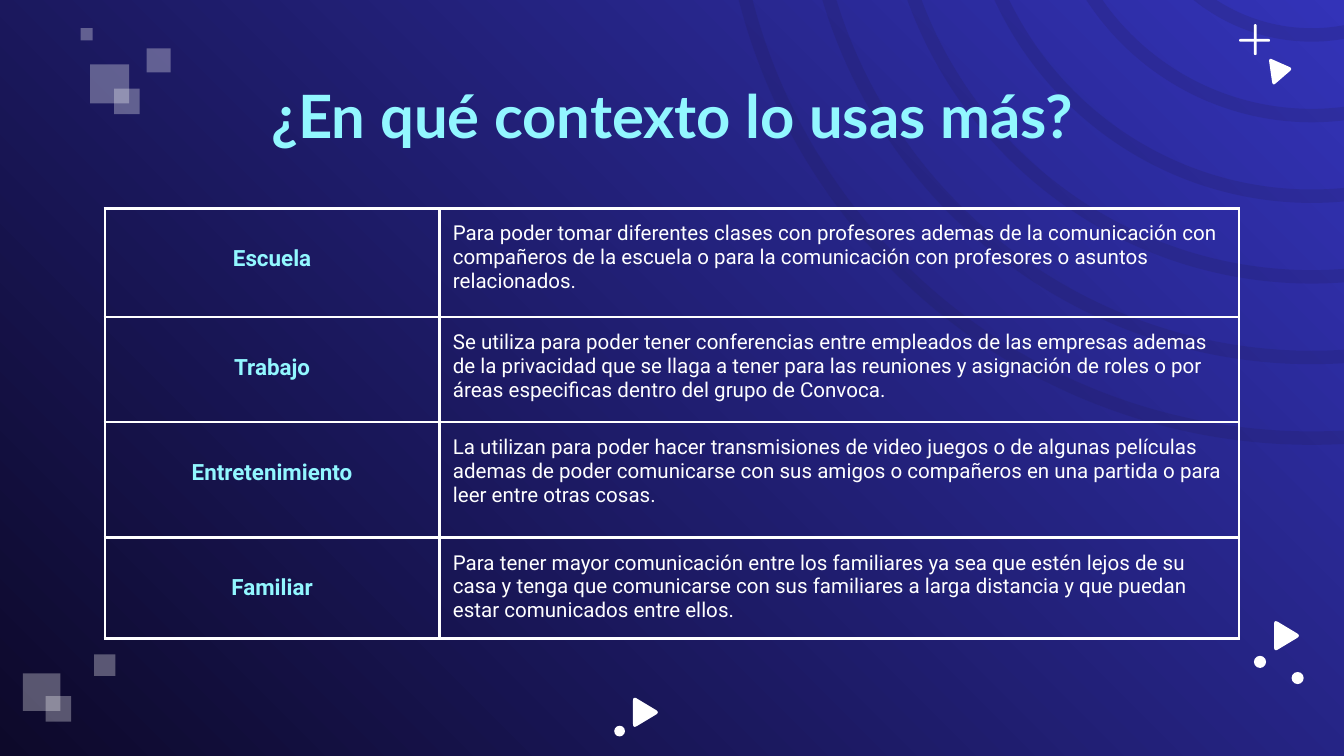
import pptx
import pptx.dml.color
import pptx.enum.shapes
import pptx.enum.text
import pptx.oxml.ns
import pptx.util
from lxml import etree
from pptx.util import Inches

SHAPE = pptx.enum.shapes.MSO_SHAPE
ALIGN = pptx.enum.text.PP_ALIGN
qn = pptx.oxml.ns.qn

COLORS = {
    "night": "0D092A",
    "indigo": "3333B8",
    "ring": "201A4A",
    "white": "FFFFFF",
    "cyan": "92F7FF",
}
TITLE = {"name": "Lato", "size": pptx.util.Pt(32), "bold": True}
LABEL = {"name": "Roboto", "size": pptx.util.Pt(12), "bold": True}
BODY = {"name": "Roboto", "size": pptx.util.Pt(11), "bold": False}

RING_CENTER = (9.76, -1.09)
RING_WIDTH = 0.1
SQUARES = [  # left, top, side
    (0.67, 0.48, 0.29), (0.85, 0.66, 0.19), (1.09, 0.36, 0.18), (0.6, 0.21, 0.09),
    (0.7, 4.87, 0.16), (0.17, 5.01, 0.28), (0.34, 5.18, 0.19),
]
DOTS = [(9.61, 5, 0.09), (9.33, 4.88, 0.09), (4.57, 5.4, 0.08)]
PLUS_BARS = [(9.33, 0.18, 0.02, 0.23), (9.22, 0.29, 0.23, 0.02)]
TILTED_PLAY = [(9.44, 0.43), (9.47, 0.64), (9.62, 0.51)]
PLAY_ORIGINS = [(9.48, 4.61), (4.71, 5.18)]

COLUMN_WIDTHS = [2.49, 5.95]
ROWS = [  # height, label, description
    (0.81, "Escuela",
     "Para poder tomar diferentes clases con profesores ademas de la comunicación con "
     "compañeros de la escuela o para la comunicación con profesores o asuntos relacionados."),
    (0.78, "Trabajo",
     "Se utiliza para poder tener conferencias entre empleados de las empresas ademas de la "
     "privacidad que se llaga a tener para las reuniones y asignación de roles o por áreas "
     "especificas dentro del grupo de Convoca."),
    (0.86, "Entretenimiento",
     "La utilizan para poder hacer transmisiones de video juegos o de algunas películas ademas "
     "de poder comunicarse con sus amigos o compañeros en una partida o para leer entre otras "
     "cosas."),
    (0.72, "Familiar",
     "Para tener mayor comunicación entre los familiares ya sea que estén lejos de su casa y "
     "tenga que comunicarse con sus familiares a larga distancia y que puedan estar comunicados "
     "entre ellos."),
]


def rgb(color):
    return pptx.dml.color.RGBColor.from_string(COLORS[color])


def paint(shape, color, opacity=100):
    shape.shadow.inherit = False
    shape.line.fill.background()
    shape.fill.solid()
    shape.fill.fore_color.rgb = rgb(color)
    if opacity < 100:
        clr = next(shape._element.spPr.iter(qn("a:srgbClr")))
        etree.SubElement(clr, qn("a:alpha"), val=str(opacity * 1000))


def add_preset(s, kind, box, color, opacity=100):
    shape = s.shapes.add_shape(kind, *map(Inches, box))
    paint(shape, color, opacity)
    return shape


def add_background(s):
    fill = s.background.fill
    fill.gradient()
    fill.gradient_angle = 45
    for stop, color in zip(fill.gradient_stops, ("night", "indigo")):
        stop.color.rgb = rgb(color)


def add_rings(s):
    cx, cy = RING_CENTER
    for i in range(6):
        radius = 4.4 - 0.6 * i
        box = (cx - radius, cy - radius, 2 * radius, 2 * radius)
        ring = add_preset(s, SHAPE.DONUT, box, "ring", 17)
        ring.adjustments[0] = RING_WIDTH / (2 * radius)


def add_play(s, corners, cut=0.15, steps=6):
    """Draw a triangle whose corners are rounded by quadratic curves."""
    points = []
    for i, corner in enumerate(corners):
        start, end = (
            [c + cut * (n - c) for c, n in zip(corner, corners[j % 3])]
            for j in (i - 1, i + 1)
        )
        for k in range(steps + 1):
            t = k / steps
            points.append(tuple(
                Inches((1 - t) ** 2 * a + 2 * t * (1 - t) * c + t ** 2 * b)
                for a, c, b in zip(start, corner, end)
            ))
    builder = s.shapes.build_freeform(*points[0])
    builder.add_line_segments(points[1:], close=True)
    paint(builder.convert_to_shape(), "white")


def add_decorations(s):
    for x, y, side in SQUARES:
        add_preset(s, SHAPE.RECTANGLE, (x, y, side, side), "white", 31)
    for x, y, side in DOTS:
        add_preset(s, SHAPE.OVAL, (x, y, side, side), "white")
    for box in PLUS_BARS:
        add_preset(s, SHAPE.ROUNDED_RECTANGLE, box, "white").adjustments[0] = 0.5
    add_play(s, TILTED_PLAY)
    for x, y in PLAY_ORIGINS:
        add_play(s, [(x, y), (x, y + 0.24), (x + 0.2, y + 0.12)])


def write(tf, text, font, color, align):
    p = tf.paragraphs[0]
    p.alignment = align
    r = p.add_run()
    r.text = text
    for name, value in font.items():
        setattr(r.font, name, value)
    r.font.color.rgb = rgb(color)


def add_title(s):
    tf = s.shapes.add_textbox(*map(Inches, (0.79, 0.59, 8.43, 0.52))).text_frame
    tf.word_wrap = True
    tf.vertical_anchor = pptx.enum.text.MSO_ANCHOR.MIDDLE
    tf.margin_top = tf.margin_bottom = Inches(0.1)
    write(tf, "¿En qué contexto lo usas más?", TITLE, "cyan", ALIGN.CENTER)


def format_cell(cell, top):
    """Set margins and white borders, and leave the cell unfilled."""
    cell.margin_left = cell.margin_right = cell.margin_bottom = Inches(0.1)
    cell.margin_top = Inches(top)
    tcPr = cell._tc.get_or_add_tcPr()
    for side in "LRTB":
        ln = etree.SubElement(tcPr, qn(f"a:ln{side}"), w=str(pptx.util.Pt(1.5)))
        fill = etree.SubElement(ln, qn("a:solidFill"))
        etree.SubElement(fill, qn("a:srgbClr"), val=COLORS["white"])
    cell.fill.background()


def add_context_table(s):
    heights = [row[0] for row in ROWS]
    box = (0.78, 1.55, sum(COLUMN_WIDTHS), sum(heights))
    table = s.shapes.add_table(len(ROWS), 2, *map(Inches, box)).table
    table.first_row = table.horz_banding = False
    for column, width in zip(table.columns, COLUMN_WIDTHS):
        column.width = Inches(width)
    for i, (height, label, description) in enumerate(ROWS):
        table.rows[i].height = Inches(height)
        left, right = table.cell(i, 0), table.cell(i, 1)
        format_cell(left, 0.28)
        format_cell(right, 0.1)
        write(left.text_frame, label, LABEL, "cyan", ALIGN.CENTER)
        write(right.text_frame, description, BODY, "white", ALIGN.LEFT)


def main():
    prs = pptx.Presentation()
    prs.slide_width = Inches(10)
    prs.slide_height = prs.slide_width * 9 // 16
    s = prs.slides.add_slide(prs.slide_layouts[6])
    add_background(s)
    add_rings(s)
    add_decorations(s)
    add_title(s)
    add_context_table(s)
    prs.save("out.pptx")


if __name__ == "__main__":
    main()
